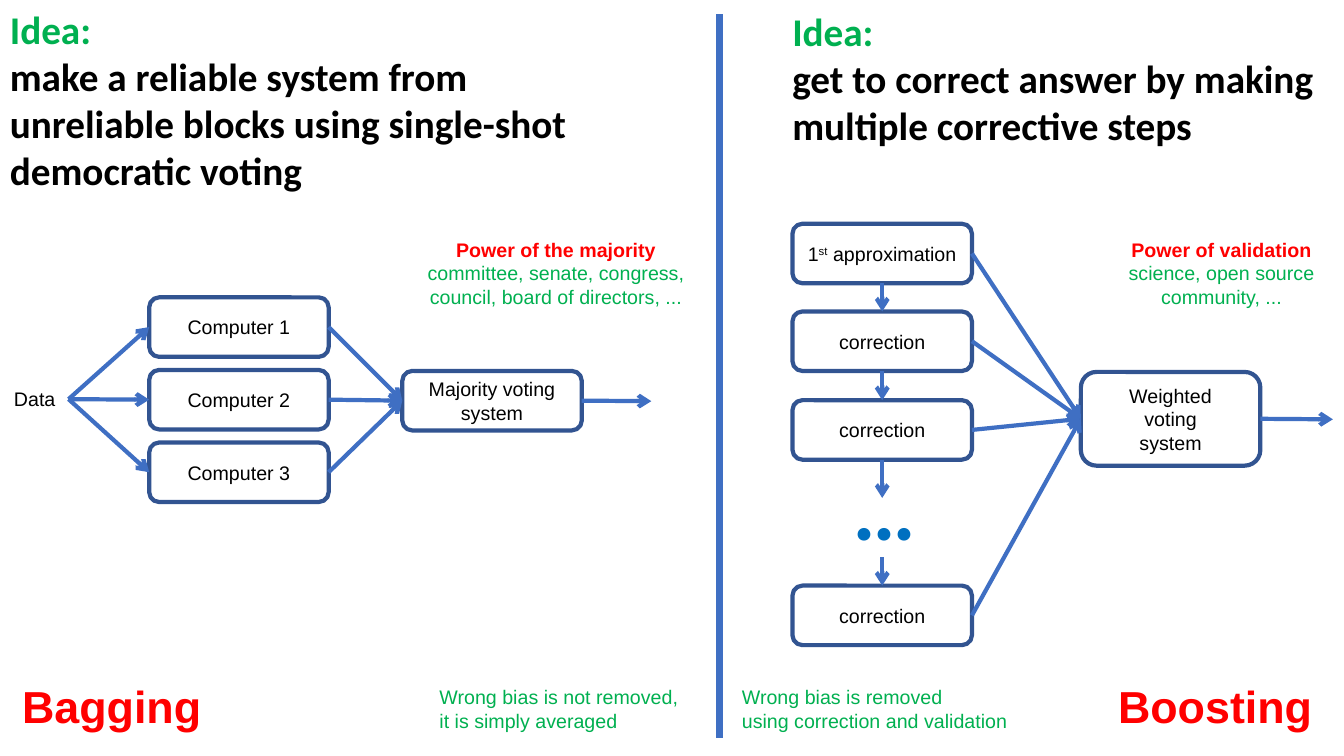
from dataclasses import dataclass
from itertools import pairwise
from typing import NamedTuple

from lxml.etree import SubElement
from pptx import Presentation
from pptx.dml.color import RGBColor
from pptx.enum.shapes import MSO_CONNECTOR, MSO_SHAPE
from pptx.enum.text import MSO_ANCHOR, PP_ALIGN
from pptx.oxml.ns import qn
from pptx.shapes.autoshape import Shape
from pptx.shapes.connector import Connector
from pptx.text.text import TextFrame
from pptx.util import Pt

PX = 9144  # EMU in one px, 100 px to the inch
BLACK = RGBColor(0x00, 0x00, 0x00)
WHITE = RGBColor(0xFF, 0xFF, 0xFF)
RED = RGBColor(0xFF, 0x00, 0x00)
GREEN = RGBColor(0x00, 0xB0, 0x50)
DOT_BLUE = RGBColor(0x00, 0x70, 0xC0)
BORDER_BLUE = RGBColor(0x32, 0x54, 0x91)
ARROW_BLUE = RGBColor(0x3F, 0x6F, 0xC3)
TOP, LEFT, BOTTOM, RIGHT = range(4)


class Area(NamedTuple):
    x: int
    y: int
    width: int
    height: int

    def emu(self) -> list[int]:
        return [length * PX for length in self]


class Point(NamedTuple):
    x: int
    y: int


class Side(NamedTuple):
    shape: Shape
    site: int


@dataclass(frozen=True)
class Style:
    size: int
    color: RGBColor
    bold: bool = False
    font: str = "Arial"


@dataclass(frozen=True)
class Line:
    text: str
    style: Style
    superscript: str = ""
    rest: str = ""


@dataclass(frozen=True)
class Note:
    area: Area
    lines: list[Line]
    align: PP_ALIGN = PP_ALIGN.LEFT


LABEL = Style(14, BLACK)
REMARK = Style(14, GREEN)
POWER = Style(14, RED, True)
METHOD = Style(32, RED, True)
IDEA = Style(28, GREEN, True, "Calibri")
CLAIM = Style(28, BLACK, True, "Calibri")
DOTS = Style(60, DOT_BLUE, True, "Lato")

NOTES = [
    Note(Area(0, 0, 594, 194), [
        Line("Idea:", IDEA),
        Line("make a reliable system from unreliable blocks using "
             "single-shot democratic voting", CLAIM)]),
    Note(Area(776, 2, 557, 158), [
        Line("Idea:", IDEA),
        Line("get to correct answer by making multiple corrective steps", CLAIM)]),
    Note(Area(401, 231, 301, 81), [
        Line("Power of the majority", POWER),
        Line("committee, senate, congress, council, board of directors, ...",
             REMARK)], PP_ALIGN.CENTER),
    Note(Area(1094, 231, 235, 81), [
        Line("Power of validation", POWER),
        Line("science, open source community, ...", REMARK)], PP_ALIGN.CENTER),
    Note(Area(830, 448, 95, 111), [Line("...", DOTS)], PP_ALIGN.CENTER),
    Note(Area(12, 668, 225, 64), [Line("Bagging", METHOD)]),
    Note(Area(1099, 668, 225, 64), [Line("Boosting", METHOD)]),
    Note(Area(426, 675, 275, 57), [
        Line("Wrong bias is not removed,", REMARK),
        Line("it is simply averaged", REMARK)]),
    Note(Area(726, 675, 303, 57), [
        Line("Wrong bias is removed", REMARK),
        Line("using correction and validation", REMARK)]),
]

BOX_WIDTH, BOX_HEIGHT = 178, 59
STEP_X = 786
STEPS = {
    222: Line("1", LABEL, "st", " approximation"),
    309: Line("correction", LABEL),
    397: Line("correction", LABEL),
    581: Line("correction", LABEL),
}

deck = Presentation()
deck.slide_width, deck.slide_height = 1333 * PX, 750 * PX
slide = deck.slides.add_slide(deck.slide_layouts[6])


def write(frame: TextFrame, lines: list[Line], align: PP_ALIGN) -> None:
    frame.word_wrap = True
    for index, line in enumerate(lines):
        paragraph = frame.add_paragraph() if index else frame.paragraphs[0]
        paragraph.alignment = align
        style = line.style
        looks = {"size": Pt(style.size), "bold": style.bold, "name": style.font}
        for text in filter(None, (line.text, line.superscript, line.rest)):
            run = paragraph.add_run()
            run.text = text
            for name, value in looks.items():
                setattr(run.font, name, value)
            run.font.color.rgb = style.color
            if text == line.superscript:
                run.font._element.set("baseline", "30000")


def add_note(note: Note) -> Shape:
    box = slide.shapes.add_textbox(*note.area.emu())
    write(box.text_frame, note.lines, note.align)
    return box


def add_box(area: Area, lines: list[Line]) -> Shape:
    box = slide.shapes.add_shape(MSO_SHAPE.ROUNDED_RECTANGLE, *area.emu())
    box.shadow.inherit = False
    box.fill.solid()
    box.fill.fore_color.rgb = WHITE
    box.line.color.rgb = BORDER_BLUE
    box.line.width = Pt(3)
    frame = box.text_frame
    layout = {"vertical_anchor": MSO_ANCHOR.MIDDLE, "margin_left": 0,
              "margin_right": 0, "margin_top": 0, "margin_bottom": 0}
    for name, value in layout.items():
        setattr(frame, name, value)
    write(frame, lines, PP_ALIGN.CENTER)
    return box


def add_line(start: Side | Point, end: Side | Point, width: int = 3) -> Connector:
    ends = [point if isinstance(point, Point) else Point(0, 0)
            for point in (start, end)]
    line = slide.shapes.add_connector(
        MSO_CONNECTOR.STRAIGHT, *(value * PX for point in ends for value in point))
    if isinstance(start, Side):
        line.begin_connect(*start)
    if isinstance(end, Side):
        line.end_connect(*end)
    line.line.color.rgb = ARROW_BLUE
    line.line.width = Pt(width)
    SubElement(line._element.spPr, qn("a:effectLst"))
    return line


def add_arrow(start: Side | Point, end: Side | Point) -> None:
    arrow = add_line(start, end)
    SubElement(arrow.line._get_or_add_ln(), qn("a:tailEnd"), type="arrow")


def main() -> None:
    # Headings, remarks and method names
    for note in NOTES:
        add_note(note)

    # Divider between the two methods
    add_line(Point(714, 14), Point(714, 732), width=5)

    # Bagging: data goes to three computers, which vote
    data = add_note(Note(Area(4, 379, 64, 34), [Line("Data", LABEL)]))
    majority = add_box(Area(399, 368, BOX_WIDTH, BOX_HEIGHT), [
        Line("Majority voting", LABEL), Line("system", LABEL)])
    for index in range(3):
        computer = add_box(Area(148, 295 + 72 * index, BOX_WIDTH, BOX_HEIGHT),
                           [Line(f"Computer {index + 1}", LABEL)])
        add_arrow(Side(data, RIGHT), Side(computer, LEFT))
        add_arrow(Side(computer, RIGHT), Side(majority, LEFT))
    add_arrow(Side(majority, RIGHT), Point(646, 398))

    # Boosting: a chain of corrections feeds a weighted vote
    weighted = add_box(Area(1072, 369, BOX_WIDTH, 93), [
        Line(word, LABEL) for word in ("Weighted", "voting", "system")])
    steps = [add_box(Area(STEP_X, y, BOX_WIDTH, BOX_HEIGHT), [line])
             for y, line in STEPS.items()]
    for step in steps:
        add_arrow(Side(step, RIGHT), Side(weighted, LEFT))
    for upper, lower in pairwise(steps[:3]):
        add_arrow(Side(upper, BOTTOM), Side(lower, TOP))
    add_arrow(Side(steps[2], BOTTOM), Point(875, 494))
    add_arrow(Point(875, 553), Side(steps[3], TOP))
    add_arrow(Side(weighted, RIGHT), Point(1322, 416))

    deck.save("out.pptx")


if __name__ == "__main__":
    main()
